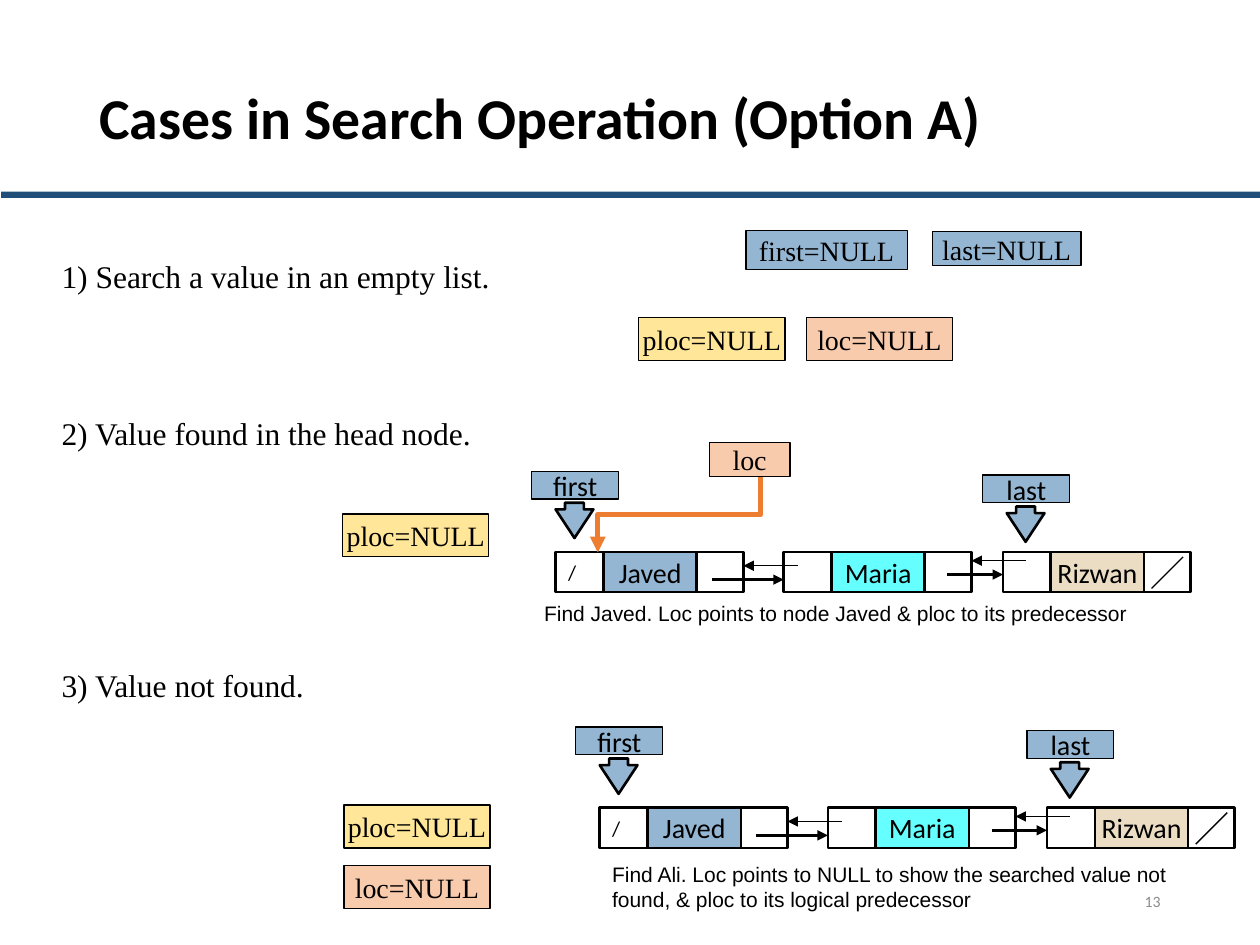
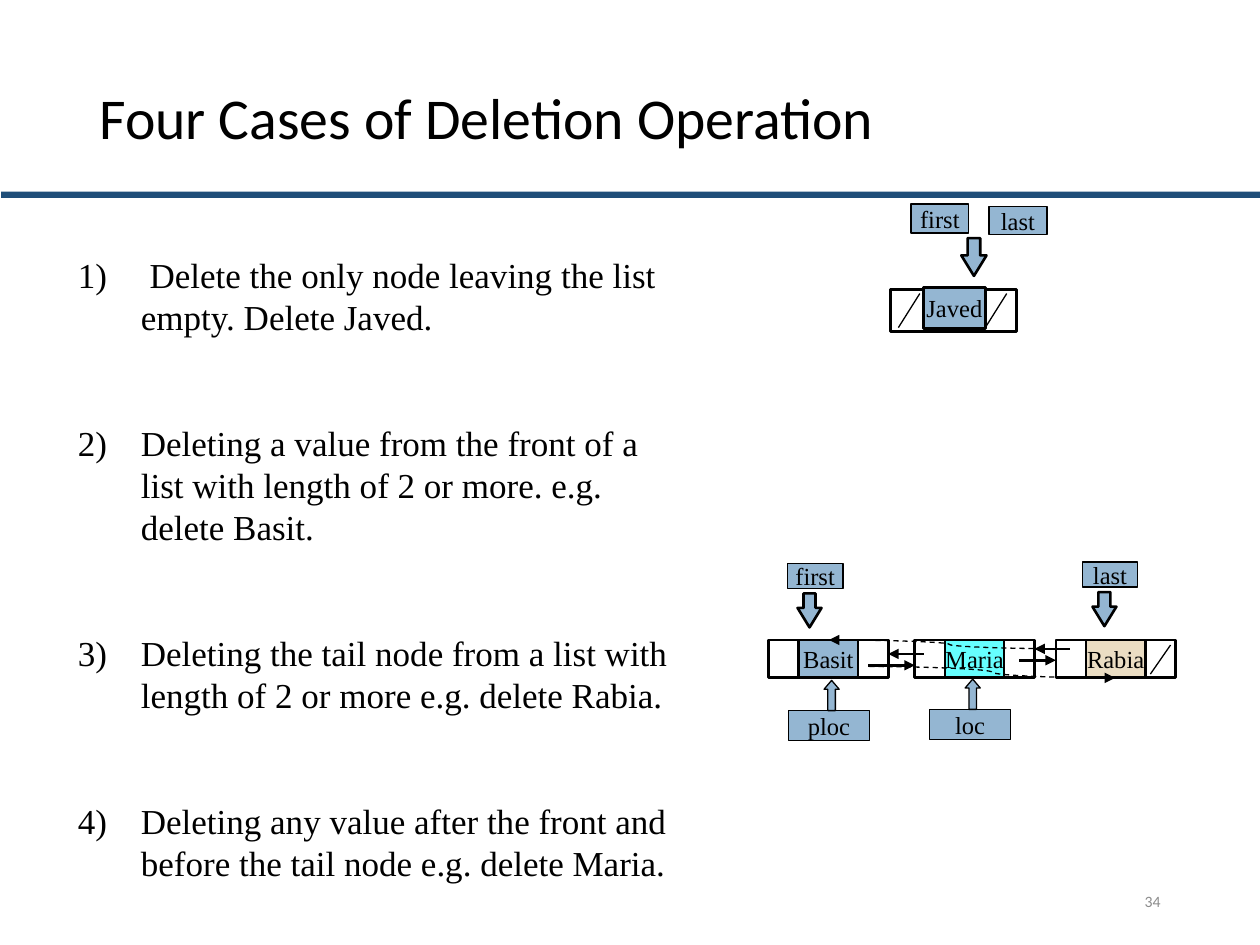
from dataclasses import dataclass

from lxml.etree import SubElement
from pptx import Presentation
from pptx.dml.color import RGBColor
from pptx.enum.dml import MSO_LINE_DASH_STYLE as Dash
from pptx.enum.shapes import MSO_CONNECTOR_TYPE as Link, MSO_SHAPE as Form
from pptx.enum.text import MSO_ANCHOR as Anchor, PP_ALIGN as Align
from pptx.oxml.ns import qn
from pptx.util import Pt

PX = 9144  # EMU per px, 100 px to the inch


@dataclass(frozen=True)
class Theme:
    ink: str = "000000"
    band: str = "1F4E79"
    muted: str = "8C8C8C"
    blue: str = "94B6D2"
    cyan: str = "66FFFF"
    sand: str = "EBDDC3"
    peach: str = "F8CBAD"
    yellow: str = "FFE699"
    orange: str = "ED7D31"
    sans: str = "Calibri"
    serif: str = "Times New Roman"
    note: str = "Arial"
    title_size: int = 33
    list_size: int = 20
    case_size: int = 18
    label_size: int = 16
    small_size: int = 14
    note_size: int = 12
    number_size: int = 9
    thin: float = 0.75
    thick: float = 1.5
    heavy: float = 3


@dataclass(frozen=True)
class ChainStyle:
    """Measures of one linked list drawing."""
    node: int
    cell: int
    height: int
    font: str
    size: int
    tag: tuple      # width and height of a first/last label
    arrow: tuple    # left offset, gap, width and height of its arrow


def apply(target, values):
    for name, value in values.items():
        setattr(target, name, value)


class Deck:
    def __init__(self, theme):
        self.theme = theme
        self.prs = Presentation()
        apply(self.prs, {"slide_width": 1000 * PX, "slide_height": 750 * PX})
        self.slide = None

    def new_slide(self, title, number, bold=False):
        t = self.theme
        self.slide = self.prs.slides.add_slide(self.prs.slide_layouts[6])
        self.shape(Form.RECTANGLE, 1, 152, 999, 5, t.band, 0)
        heading = self.text(title, 69, 40, 862, 112, t.sans, t.title_size,
                            anchor=Anchor.MIDDLE, bold=bold)
        heading.line_spacing = 0.9
        self.text(str(number), 706, 695, 225, 40, t.sans, t.number_size, t.muted,
                  anchor=Anchor.MIDDLE, align=Align.RIGHT)

    def fill_text(self, frame, words, font, size, color=None, anchor=Anchor.TOP,
                  align=Align.LEFT, wrap=True, bold=False):
        apply(frame, {"word_wrap": wrap, "vertical_anchor": anchor})
        paragraph = frame.paragraphs[0]
        paragraph.alignment = align
        run = paragraph.add_run()
        run.text = words
        self.font(run, font, size, color, bold)
        return paragraph

    def font(self, run, name, size, color=None, bold=False):
        apply(run.font, {"name": name, "size": Pt(size), "bold": bold})
        run.font.color.rgb = RGBColor.from_string(color or self.theme.ink)

    def text(self, words, x, y, w, h, font, size, color=None, **style):
        box = self.slide.shapes.add_textbox(x * PX, y * PX, w * PX, h * PX)
        return self.fill_text(box.text_frame, words, font, size, color, **style)

    def shape(self, form, x, y, w, h, fill=None, weight=0.75, adjust=()):
        item = self.slide.shapes.add_shape(form, x * PX, y * PX, w * PX, h * PX)
        item.shadow.inherit = False
        if fill:
            item.fill.solid()
            item.fill.fore_color.rgb = RGBColor.from_string(fill)
        else:
            item.fill.background()
        if weight:
            item.line.color.rgb = RGBColor.from_string(self.theme.ink)
            item.line.width = Pt(weight)
        else:
            item.line.fill.background()
        for i, value in enumerate(adjust):
            item.adjustments[i] = value
        return item

    def label(self, words, x, y, w, h, fill, font=None, size=None, weight=None):
        t = self.theme
        box = self.shape(Form.RECTANGLE, x, y, w, h, fill, weight or t.thin)
        self.fill_text(box.text_frame, words, font or t.serif, size or t.label_size,
                       anchor=Anchor.MIDDLE, align=Align.CENTER, wrap=False)
        return box

    def line(self, x1, y1, x2, y2, weight=0.75, color=None, kind=Link.STRAIGHT,
             head=True, dash=None, turn=0):
        link = self.slide.shapes.add_connector(
            kind, *(round(v) * PX for v in (x1, y1, x2, y2)))
        apply(link.line, {"width": Pt(weight), "dash_style": dash})
        link.line.color.rgb = RGBColor.from_string(color or self.theme.ink)
        props = link.element.spPr
        if head:
            SubElement(props.find(qn("a:ln")), qn("a:tailEnd"), type="triangle")
        SubElement(props, qn("a:effectLst"))
        if turn:
            props.find(qn("a:xfrm")).set("rot", str(turn * 60000))

    def numbered(self, items, x, y, w, h):
        """Numbered list with a hanging indent and two lines between items."""
        t = self.theme
        frame = self.slide.shapes.add_textbox(
            x * PX, y * PX, w * PX, h * PX).text_frame
        frame.word_wrap = True
        for i, words in enumerate(items):
            paragraph = frame.add_paragraph() if i else frame.paragraphs[0]
            apply(paragraph, {"line_spacing": Pt(24),
                              "space_before": Pt(48 if i else 0)})
            run = paragraph.add_run()
            run.text = words
            self.font(run, t.serif, t.list_size)
            props = paragraph._p.get_or_add_pPr()
            props.set("marL", str(50 * PX))
            props.set("indent", str(-50 * PX))
            SubElement(props, qn("a:buFont"), typeface=t.serif)
            SubElement(props, qn("a:buAutoNum"), type="arabicParenR")

    def down_arrow(self, x, y, w, h):
        t = self.theme
        self.shape(Form.DOWN_ARROW, x, y, w, h, t.blue, t.thick, (0.5, 0.812))

    def pointer(self, words, x, y, style):
        """List pointer: a label with an arrow down to its node."""
        w, h = style.tag
        offset, gap, arrow_w, arrow_h = style.arrow
        self.label(words, x, y, w, h, self.theme.blue, style.font, style.size)
        self.down_arrow(x + offset, y + h + gap, arrow_w, arrow_h)

    def up_pointer(self, words, x, y):
        """Search pointer: a label with an arrow up to its node."""
        t = self.theme
        self.label(words, x, y, 64, 24, t.blue, size=t.small_size)
        self.shape(Form.UP_ARROW, x + 28, y - 24, 12, 24, t.blue, t.thin,
                   (0.5, 0.588))

    def chain(self, names, starts, y, style):
        """Three nodes joined by next and previous links."""
        t = self.theme
        node, cell, h = style.node, style.cell, style.height
        frames = [self.shape(Form.RECTANGLE, x, y, node, h, None, t.thick)
                  for x in starts]
        for x, name, fill in zip(starts, names, (t.blue, t.cyan, t.sand)):
            self.label(name, x + (node - cell + 1) // 2, y, cell, h, fill,
                       style.font, style.size, t.thick)
        # Share of the node width where next leaves and previous leaves
        exits, returns = (0.835, 0.87), (0.074, 0.12)
        for i, (x, after) in enumerate(zip(starts, starts[1:])):
            next_y, previous_y = y + h - 10 - 4 * i, y + 11 - 4 * i
            self.line(x + exits[i] * node, next_y, after, next_y, t.thick)
            self.line(after + returns[i] * node, previous_y, x + node, previous_y)
        end = starts[-1]
        self.line(end + 0.96 * node, y + 4, end + 0.79 * node, y + h - 3,
                  head=False)
        return frames


def search_slide(deck):
    t = deck.theme
    deck.new_slide("Cases in Search Operation (Option A)", 13, bold=True)
    style = ChainStyle(149, 74, 32, t.sans, t.label_size, (69, 22), (19, 3, 30, 28))

    # Case headings
    cases = (("1) Search a value in an empty list.", 199),
             ("2) Value found in the head node.", 324),
             ("3) Value not found.", 524))
    for case, y in cases:
        deck.text(case, 39, y, 500, 40, t.serif, t.case_size)

    # Empty list
    deck.label("first=NULL", 592, 183, 128, 31, t.blue)
    deck.label("last=NULL", 740, 184, 118, 27, t.blue)

    # Results of each search
    results = (("ploc", 507, 252), ("loc", 640, 252), ("ploc", 272, 408),
               ("ploc", 273, 639), ("loc", 273, 687))
    for name, x, y in results:
        deck.label(f"{name}=NULL", x, y, 116, 34,
                   t.yellow if name == "ploc" else t.peach)

    # The same list, searched twice
    for x, y in ((441, 438), (476, 641)):
        head, *_ = deck.chain(("Javed", "Maria", "Rizwan"),
                              (x, x + 181, x + 355), y, style)
        deck.fill_text(head.text_frame, "/", t.sans, t.note_size,
                       anchor=Anchor.MIDDLE, wrap=False)
        deck.pointer("first", x - 19, y - 64, style)
        deck.pointer("last", x + 339, y - 61, style)

    # loc reaches the head node
    deck.label("loc", 563, 351, 64, 27, t.peach)
    deck.line(509, 344, 569, 473, t.heavy, t.orange, Link.ELBOW, turn=90)

    # Captions
    captions = (
        ("Find Javed. Loc points to node Javed & ploc to its predecessor",
         422, 472, 30),
        ("Find Ali. Loc points to NULL to show the searched value not found, "
         "& ploc to its logical predecessor", 476, 679, 50))
    for caption, x, y, h in captions:
        deck.text(caption, x, y, 493, h, t.note, t.note_size)


def deletion_slide(deck):
    t = deck.theme
    deck.new_slide("Four Cases of Deletion Operation", 34)
    style = ChainStyle(95, 47, 30, t.serif, t.small_size, (44, 20), (8, 4, 19, 27))

    deck.numbered((
        " Delete the only node leaving the list empty. Delete Javed.",
        "Deleting a value from the front of a list with length of 2 or more. "
        "e.g. delete Basit.",
        "Deleting the tail node from a list with length of 2 or more "
        "e.g. delete Rabia.",
        "Deleting any value after the front and before the tail node "
        "e.g. delete Maria."), 52, 196, 493, 515)

    # Single node list
    deck.shape(Form.RECTANGLE, 707, 230, 100, 33, None, t.thick)
    deck.label("Javed", 733, 228, 49, 33, t.blue, size=t.small_size, weight=t.thick)
    for x in (713, 782):
        deck.line(x + 17, 233, x, 260, head=False)
    deck.label("first", 723, 162, 46, 23, t.blue, size=t.small_size)
    deck.label("last", 785, 164, 46, 22, t.blue, size=t.small_size)
    deck.down_arrow(763, 189, 20, 30)

    # Three node list
    deck.chain(("Basit", "Maria", "Rabia"), (610, 726, 838), 508, style)
    deck.pointer("first", 625, 447, style)
    deck.pointer("last", 859, 446, style)
    deck.up_pointer("ploc", 626, 564)
    deck.up_pointer("loc", 738, 563)

    # Links that bypass the deleted node
    for bypass in ((849, 515, 658, 508), (690, 529, 885, 538)):
        deck.line(*bypass, kind=Link.CURVE, dash=Dash.DASH)


def main():
    deck = Deck(Theme())
    search_slide(deck)
    deletion_slide(deck)
    deck.prs.save("out.pptx")


if __name__ == "__main__":
    main()
